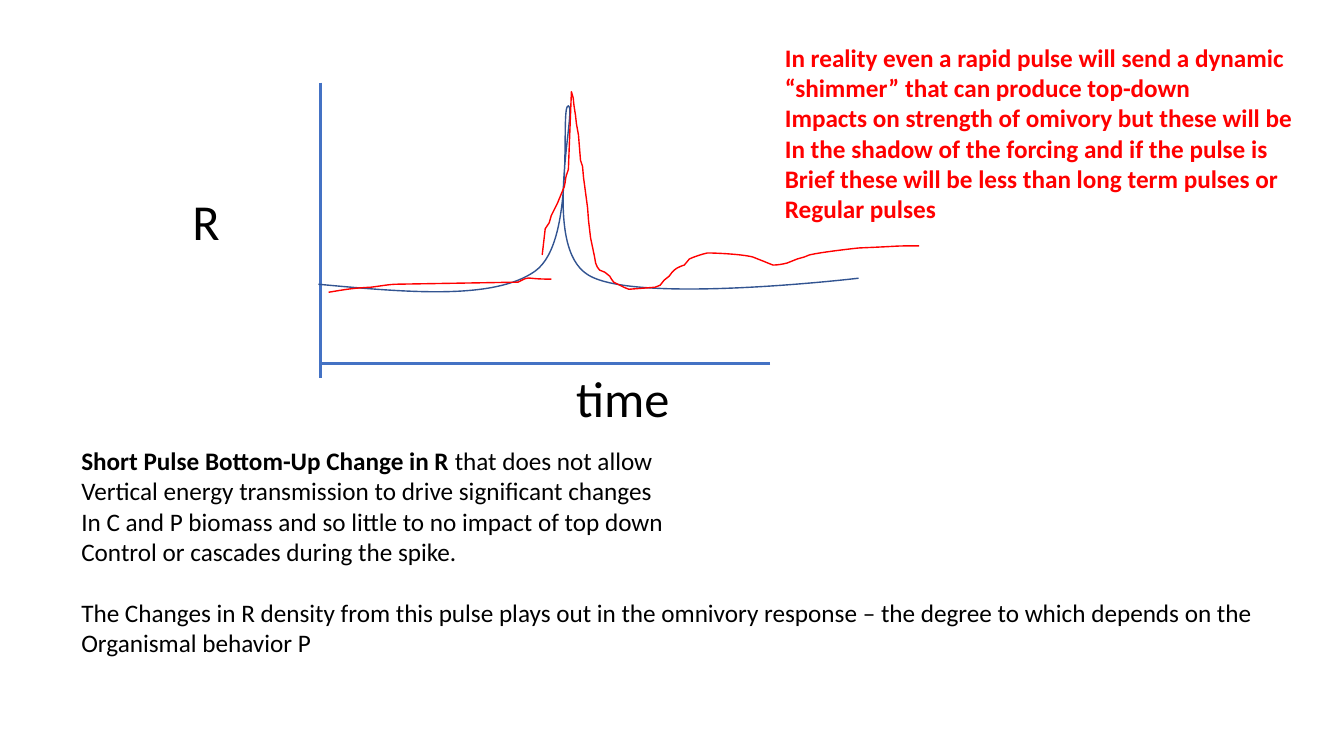
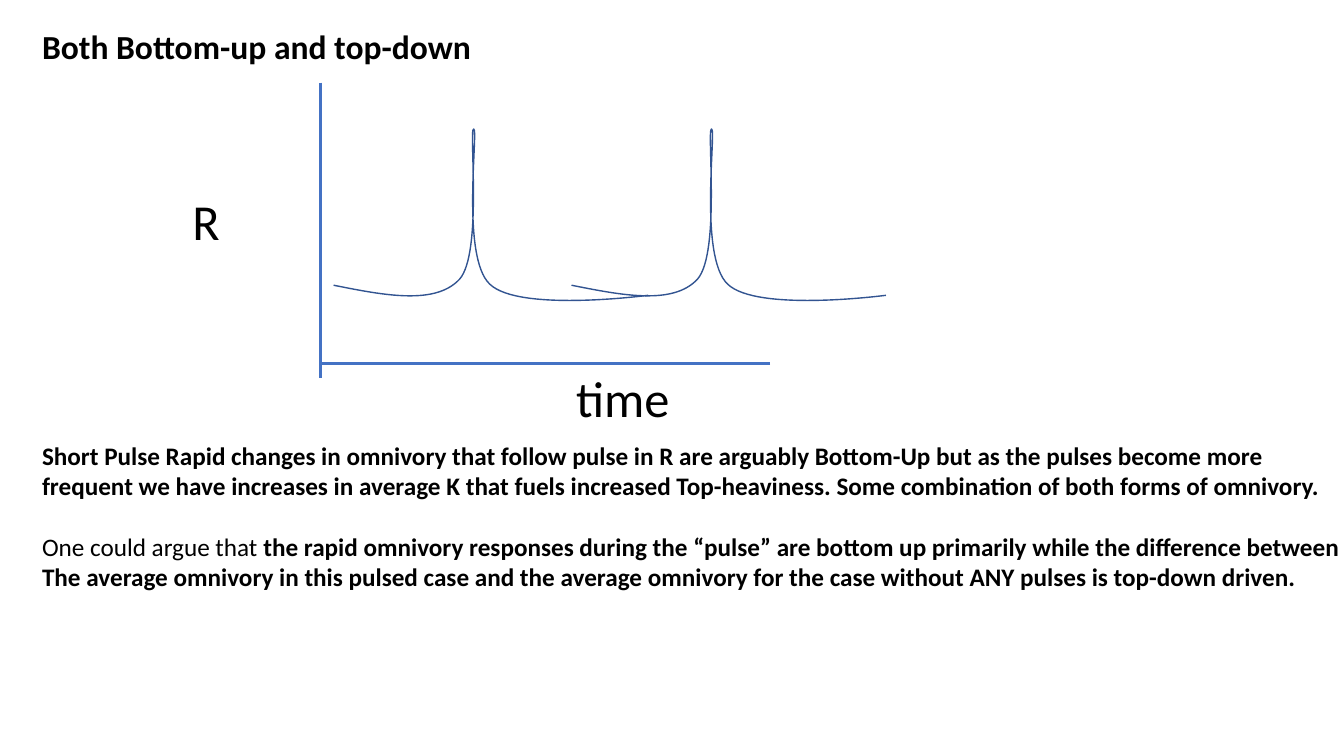
from dataclasses import dataclass

from lxml.etree import SubElement
from pptx import Presentation
from pptx.dml.color import RGBColor
from pptx.enum.shapes import MSO_CONNECTOR
from pptx.enum.text import MSO_AUTO_SIZE
from pptx.oxml.ns import qn
from pptx.slide import Slide
from pptx.util import Cm, Pt


@dataclass(frozen=True)
class Theme:
    """Colours, font and sizes shared by the slides."""
    font: str = "Calibri"
    text: RGBColor = RGBColor(0, 0, 0)
    axis: RGBColor = RGBColor(0x44, 0x72, 0xC4)
    pulse: RGBColor = RGBColor(0x32, 0x54, 0x91)
    accent: RGBColor = RGBColor(0xFF, 0, 0)
    body_pt: int = 18
    title_pt: int = 24
    axis_label_pt: int = 36
    axis_line_pt: float = 2.25
    curve_pt: float = 1
    section_gap_pt: int = 22


@dataclass(frozen=True)
class Line:
    """A line of text; the tail has the opposite weight."""
    text: str
    bold: bool = False
    tail: str = ""
    gap: bool = False


@dataclass(frozen=True)
class Label:
    """A text box, with its place in centimetres."""
    left: float
    top: float
    width: float
    height: float
    lines: tuple[Line, ...]
    size: int
    color: RGBColor


@dataclass(frozen=True)
class Curve:
    """A start point, then segments: x, y for a line or three pairs for a Bezier."""
    start: tuple[int, int]
    segments: tuple[tuple[int, ...], ...]
    color: RGBColor


THEME = Theme()
CURVE_UNIT = Cm(0.0254)  # curve coordinates are hundredths of an inch

AXES = ((8.08, 2.08, 8.08, 9.52), (19.41, 9.17, 8.08, 9.17))
AXIS_LABELS = (
    Label(4.6, 4.67, 1.22, 1.8, (Line("R"),), THEME.axis_label_pt, THEME.text),
    Label(14.27, 9.12, 2.9, 1.8, (Line("time"),), THEME.axis_label_pt, THEME.text),
)

SHORT_PULSE = Curve((316, 282), (
    (403, 290, 490, 298, 531, 269), (573, 239, 555, 104, 564, 105),
    (573, 106, 536, 245, 584, 273), (632, 302, 852, 276, 852, 276),
), THEME.pulse)

BASELINE = Curve((326, 290), (
    (344, 287, 349, 286, 368, 285), (377, 284, 386, 282, 395, 282),
    (514, 280), (528, 273, 517, 277, 547, 277),
), THEME.accent)

SHIMMER = Curve((538, 253), (
    (541, 227), (545, 221), (547, 214), (553, 202), (560, 185),
    (561, 181, 561, 177, 562, 174), (564, 168),
    (565, 142, 566, 116, 567, 91), (571, 105, 567, 90, 571, 114),
    (572, 123), (574, 134), (576, 159), (578, 165), (579, 176),
    (583, 206), (584, 219), (586, 236), (590, 255), (591, 261),
    (592, 264, 593, 266, 595, 268), (600, 270), (605, 274),
    (607, 276, 607, 279, 609, 280), (619, 285), (624, 287),
    (650, 285), (655, 283), (659, 278), (664, 274),
    (666, 272, 667, 269, 669, 268), (672, 265, 679, 263, 679, 263),
    (684, 257), (688, 255, 697, 252, 702, 251),
    (708, 251, 735, 252, 747, 255), (757, 259), (767, 263),
    (772, 263, 777, 262, 781, 261), (791, 257), (798, 255), (803, 253),
    (815, 250, 852, 246, 853, 246), (902, 244, 882, 244, 912, 244),
), THEME.accent)


def repeated_pulse(shift: int) -> Curve:
    """Return one pulse of the regular series, moved right by shift."""
    segments = (
        (381, 293, 432, 303, 456, 277), (479, 251, 465, 127, 470, 128),
        (475, 128, 457, 255, 486, 282), (515, 310, 643, 293, 643, 293),
    )
    moved = tuple(tuple(v + shift * (i % 2 == 0) for i, v in enumerate(seg))
                  for seg in segments)
    return Curve((331 + shift, 283), moved, THEME.pulse)


def draw_axes(s: Slide) -> None:
    """Draw both axes with their labels."""
    for x1, y1, x2, y2 in AXES:
        axis = s.shapes.add_connector(MSO_CONNECTOR.STRAIGHT,
                                      Cm(x1), Cm(y1), Cm(x2), Cm(y2))
        axis.line.color.rgb = THEME.axis
        axis.line.width = Pt(THEME.axis_line_pt)
        SubElement(axis._element.spPr, qn("a:effectLst"))
    for label in AXIS_LABELS:
        draw_label(s, label)


def draw_curve(s: Slide, curve: Curve) -> None:
    """Draw an open curve of straight and Bezier segments."""
    builder = s.shapes.build_freeform(*curve.start, scale=CURVE_UNIT)
    for seg in curve.segments:
        builder.add_line_segments(list(zip(seg[::2], seg[1::2])), close=False)
    sp = builder.convert_to_shape()
    sp.shadow.inherit = False
    sp.fill.background()
    sp.line.color.rgb = curve.color
    sp.line.width = Pt(THEME.curve_pt)

    outline = next(sp._element.iter(qn("a:path")))
    steps = iter(outline.findall(qn("a:lnTo")))
    for seg in curve.segments:
        group = [next(steps) for _ in range(len(seg) // 2)]
        if len(group) == 3:
            bezier = SubElement(outline, qn("a:cubicBezTo"))
            group[0].addprevious(bezier)
            for step in group:
                bezier.append(step[0])
                outline.remove(step)


def draw_label(s: Slide, label: Label) -> None:
    """Draw an unwrapped text box, one paragraph per line."""
    sp = s.shapes.add_textbox(Cm(label.left), Cm(label.top),
                              Cm(label.width), Cm(label.height))
    tf = sp.text_frame
    tf.word_wrap = False
    tf.auto_size = MSO_AUTO_SIZE.SHAPE_TO_FIT_TEXT
    for i, line in enumerate(label.lines):
        p = tf.add_paragraph() if i else tf.paragraphs[0]
        p.text = line.text
        if line.tail:
            p.add_run().text = line.tail
        if line.gap:
            p.space_before = Pt(THEME.section_gap_pt)
        for r, bold in zip(p.runs, (line.bold, not line.bold)):
            r.font.name = THEME.font
            r.font.size = Pt(label.size)
            r.font.color.rgb = label.color
            r.font.bold = bold


def add_plot_slide(prs, curves: tuple[Curve, ...], labels: tuple[Label, ...]) -> None:
    """Add a slide with axes, curves and text."""
    s = prs.slides.add_slide(prs.slide_layouts[6])
    draw_axes(s)
    for curve in curves:
        draw_curve(s, curve)
    for label in labels:
        draw_label(s, label)


SHORT_PULSE_TEXT = Label(1.8, 11.1, 30.25, 5.64, (
    Line("Short Pulse Bottom-Up Change in R ", True, "that does not allow"),
    Line("Vertical energy transmission to drive significant changes"),
    Line("In C and P biomass and so little to no impact of top down"),
    Line("Control or cascades during the spike."),
    Line("The Changes in R density from this pulse plays out in the omnivory "
         "response – the degree to which depends on the", gap=True),
    Line("Organismal behavior P"),
), THEME.body_pt, THEME.text)

SHIMMER_TEXT = Label(19.53, 0.94, 13.3, 4.88, (
    Line("In reality even a rapid pulse will send a dynamic", True),
    Line("“shimmer” that can produce top-down", True),
    Line("Impacts on strength of omivory but these will be", True),
    Line("In the shadow of the forcing and if the pulse is", True),
    Line("Brief these will be less than long term pulses or", True),
    Line("Regular pulses", True),
), THEME.body_pt, THEME.accent)

TITLE = Label(0.81, 0.53, 11.35, 1.27, (Line("Both Bottom-up and top-down", True),),
              THEME.title_pt, THEME.text)

REPEATED_PULSE_TEXT = Label(0.81, 10.97, 33.3, 4.88, (
    Line("Short Pulse Rapid changes in omnivory that follow pulse in R are "
         "arguably Bottom-Up but as the pulses become more", True),
    Line("frequent we have increases in average K that fuels increased "
         "Top-heaviness. Some combination of both forms of omnivory.", True),
    Line("One could argue that ", False,
         "the rapid omnivory responses during the “pulse” are bottom up "
         "primarily while the difference between", gap=True),
    Line("The average omnivory in this pulsed case and the average omnivory "
         "for the case without ANY pulses is top-down driven.", True),
), THEME.body_pt, THEME.text)


def main() -> None:
    """Build and save the presentation."""
    prs = Presentation()
    prs.slide_width, prs.slide_height = Cm(33.87), Cm(19.05)
    add_plot_slide(prs, (SHORT_PULSE, BASELINE, SHIMMER),
                   (SHORT_PULSE_TEXT, SHIMMER_TEXT))
    add_plot_slide(prs, (repeated_pulse(0), repeated_pulse(236)),
                   (REPEATED_PULSE_TEXT, TITLE))
    prs.save("out.pptx")


main()
